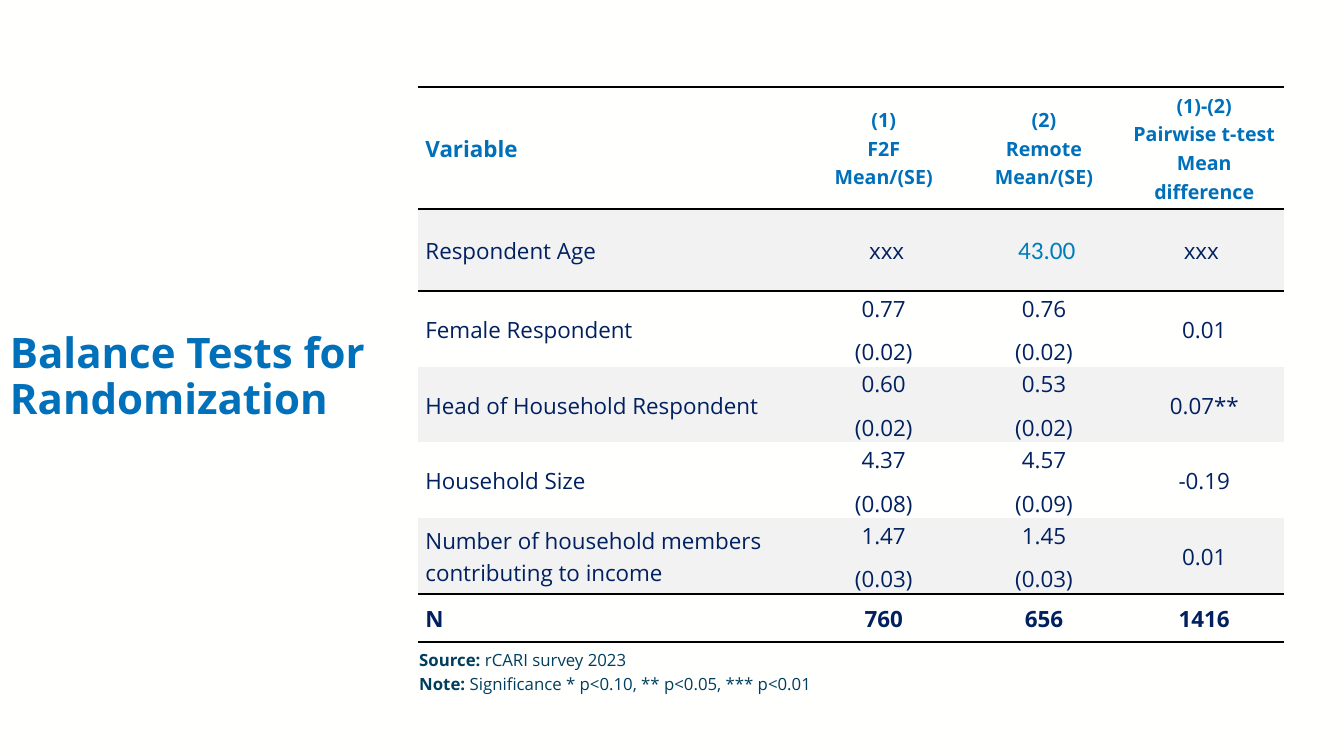
"""Build the slide of balance tests for randomization."""
from lxml.etree import SubElement
from pptx import Presentation
from pptx.dml.color import RGBColor
from pptx.enum.text import MSO_ANCHOR, PP_ALIGN
from pptx.oxml.ns import qn
from pptx.util import Inches, Pt

TITLE = "Balance Tests for Randomization"
ROWS = [
    ("Variable", "(1)\nF2F\nMean/(SE)", "(2)\nRemote\nMean/(SE)",
     "(1)-(2)\nPairwise t-test\nMean difference"),
    ("Respondent Age", " xxx", " 43.00", "xxx "),
    ("Female Respondent", "0.77\n(0.02)", "0.76\n(0.02)", "0.01"),
    ("Head of Household Respondent", "0.60\n(0.02)", "0.53\n(0.02)", "0.07**"),
    ("Household Size", "4.37\n(0.08)", "4.57\n(0.09)", "-0.19"),
    ("Number of household members contributing to income",
     "1.47\n(0.03)", "1.45\n(0.03)", "0.01"),
    ("N", "760", "656", "1416"),
]
NOTES = [
    ("Source: ", "rCARI survey 2023"),
    ("Note:", " Significance * p<0.10, ** p<0.05, *** p<0.01 "),
]
WIDTHS = [3.82, 1.59, 1.59, 1.59]
HEIGHTS = [1.21, 0.82, 0.75, 0.75, 0.75, 0.75, 0.48]
RULES = {0: ("T", "B"), 1: ("T",), 5: ("B",), 6: ("T", "B")}
MARK = (1, 2)
PLAIN = "{2D5ABB26-0587-4C30-8999-92F81FD0307C}"
FONT = "Open Sans"
COLORS = {
    "back": "FFFFFE", "head": "0070BA", "body": "002060", "mark": "007DBC",
    "band": "F2F2F2", "note": "003E5E", "rule": "000000",
}


def color(name):
    return RGBColor.from_string(COLORS[name])


def style(run, size, hue, bold=False, face=FONT):
    font = run.font
    font.name, font.size, font.bold = face, Pt(size), bold
    font.color.rgb = color(hue)


def add_box(slide, left, top, width, height):
    box = slide.shapes.add_textbox(*map(Inches, (left, top, width, height)))
    box.text_frame.word_wrap = True
    return box.text_frame


def add_rule(cell, side):
    line = SubElement(cell._tc.get_or_add_tcPr(), qn(f"a:ln{side}"), w=str(Pt(1.5)))
    fill = SubElement(line, qn("a:solidFill"))
    SubElement(fill, qn("a:srgbClr"), val=COLORS["rule"])


def fill_cell(cell, row, col):
    head, last = row == 0, row == len(ROWS) - 1
    cell.text_frame.text = ROWS[row][col]
    cell.vertical_anchor = MSO_ANCHOR.MIDDLE
    cell.margin_left = cell.margin_right = Inches(0.07)
    cell.margin_top = cell.margin_bottom = 0
    for side in RULES.get(row, ()):
        add_rule(cell, side)
    if row % 2:
        cell.fill.solid()
        cell.fill.fore_color.rgb = color("band")
    else:
        cell.fill.background()
    for para in cell.text_frame.paragraphs:
        para.line_spacing = 1.07
        para.alignment = PP_ALIGN.CENTER if col else PP_ALIGN.LEFT
        para.space_after = Pt(0 if head and col else 8)
        for run in para.runs:
            if (row, col) == MARK:
                style(run, 18, "mark", face="Calibri")
            else:
                style(run, 14 if head and col else 16,
                      "head" if head else "body", head or last)


def add_grid(slide):
    frame = slide.shapes.add_table(
        len(ROWS), len(WIDTHS), Inches(4.15), Inches(0.86),
        Inches(sum(WIDTHS)), Inches(sum(HEIGHTS)))
    table = frame.table
    table.first_row = table.horz_banding = False
    table._tbl.tblPr.find(qn("a:tableStyleId")).text = PLAIN
    for col, width in enumerate(WIDTHS):
        table.columns[col].width = Inches(width)
    for row, height in enumerate(HEIGHTS):
        table.rows[row].height = Inches(height)
        for col in range(len(WIDTHS)):
            fill_cell(table.cell(row, col), row, col)


def add_title(slide):
    text = add_box(slide, 0, 3.12, 4.15, 1.26)
    text.vertical_anchor = MSO_ANCHOR.MIDDLE
    text.text = TITLE
    para = text.paragraphs[0]
    para.line_spacing = 0.9
    style(para.runs[0], 30, "head", True)


def add_notes(slide):
    text = add_box(slide, 4.06, 6.37, 6.67, 0.55)
    text.text = "\n".join("" for _ in NOTES)
    for para, (label, note) in zip(text.paragraphs, NOTES):
        para.alignment = PP_ALIGN.JUSTIFY
        para.line_spacing = 1.15
        for words, bold in ((label, True), (note, False)):
            run = para.add_run()
            run.text = words
            style(run, 12, "note", bold)


def main():
    deck = Presentation()
    deck.slide_width, deck.slide_height = Inches(13.33), Inches(7.5)
    slide = deck.slides.add_slide(deck.slide_layouts[6])
    slide.background.fill.solid()
    slide.background.fill.fore_color.rgb = color("back")
    add_title(slide)
    add_grid(slide)
    add_notes(slide)
    deck.save("out.pptx")


if __name__ == "__main__":
    main()
